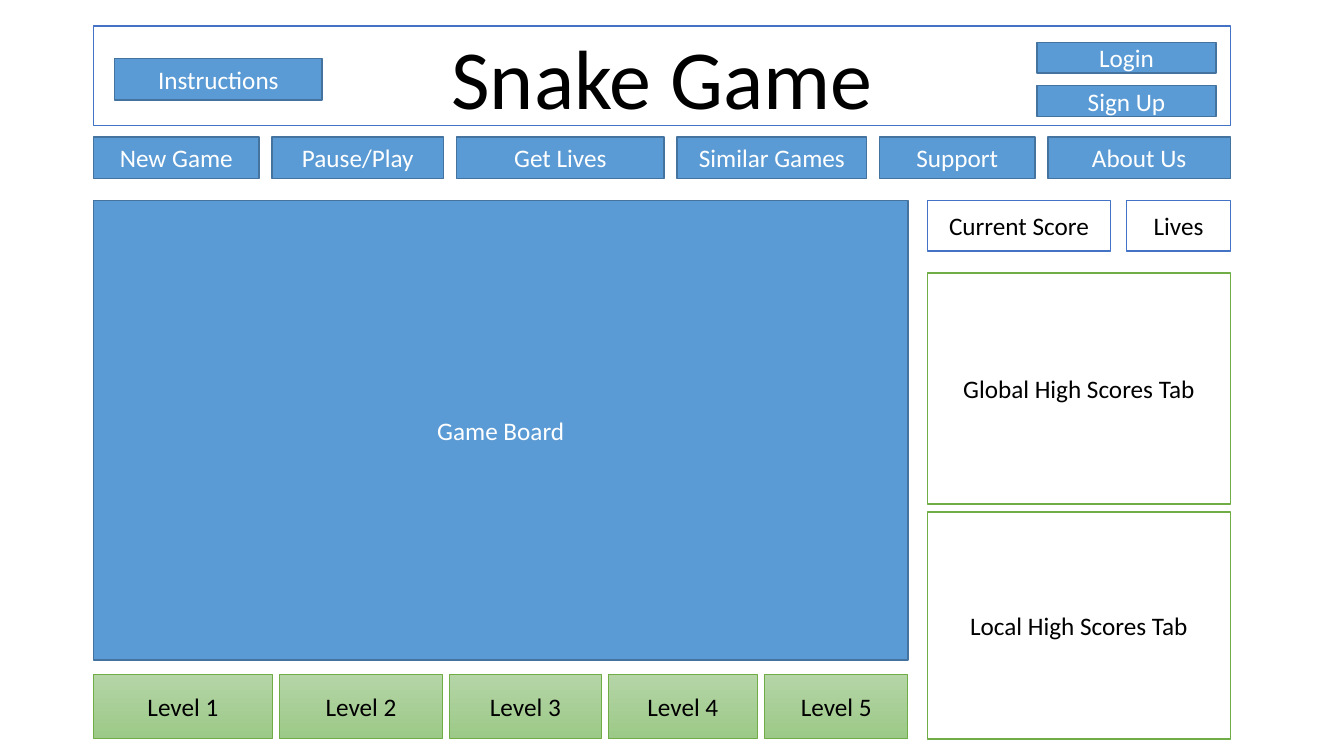
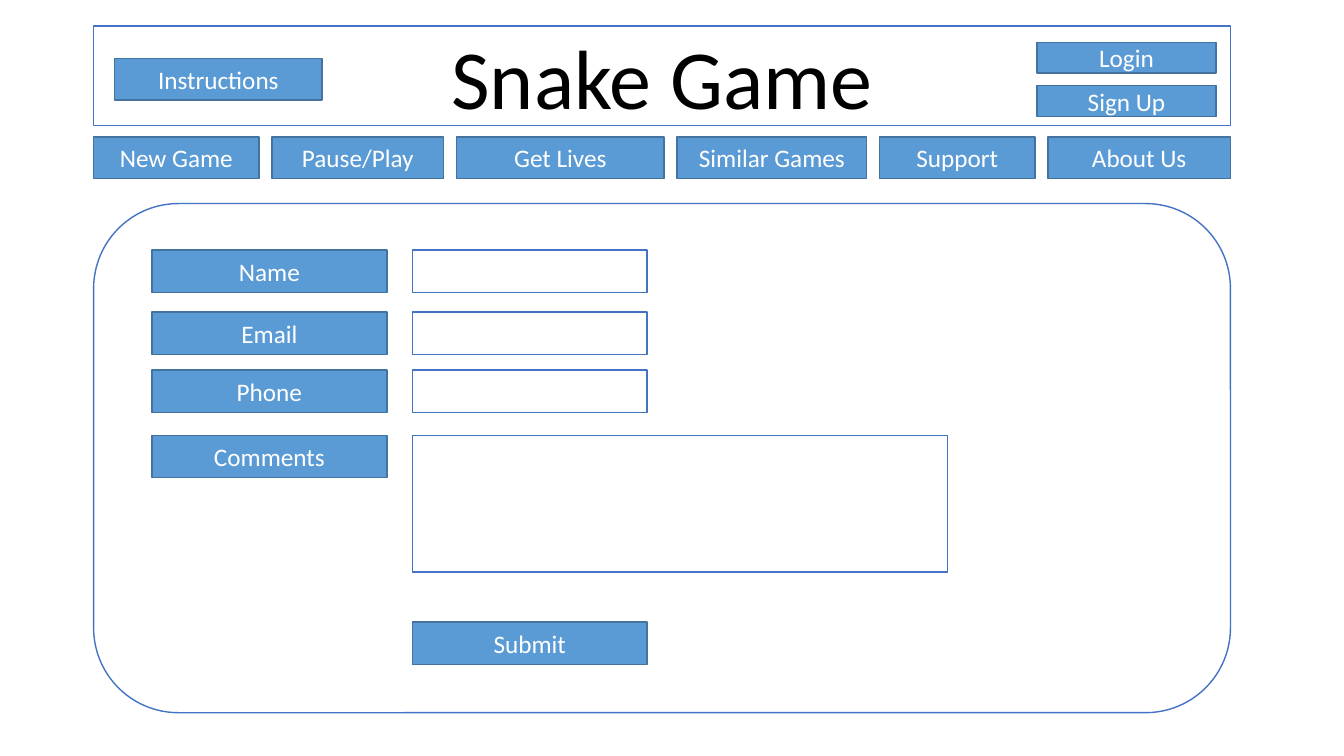
import pptx
import pptx.dml.color
import pptx.enum.shapes
import pptx.enum.text
import pptx.util
from collections import namedtuple
from pptx.util import Cm

Box = namedtuple("Box", "left top width height")
Style = namedtuple("Style", "fill line text weight")

FONT = "Calibri"
BUTTON = Style(["5B9BD5"], "43739E", "FFFFFF", 1)
PANEL = Style(["FFFFFF"], "4472C4", "000000", 1)
SCORES = Style(["FFFFFF"], "70AD47", "000000", 1)
LEVEL = Style(["B5D5A7", "9CC987"], "70AD47", "000000", 0.5)

BANNER = Box(2.36, 0.66, 28.65, 2.51)
MENU = Box(2.36, 3.45, 28.65, 1.05)
BOARD = Box(2.36, 5.05, 20.52, 11.58)
LEVELS = Box(2.36, 16.99, 20.52, 1.63)
SIDEBAR = Box(23.37, 5.05, 7.64, 13.57)
FORM = Box(2.36, 5.13, 28.65, 12.83)

MENU_WIDTHS = {"New Game": 4.17, "Pause/Play": 4.32, "Get Lives": 5.23,
               "Similar Games": 4.78, "Support": 3.91, "About Us": 4.6}
LEVEL_WIDTHS = {"Level 1": 4.5, "Level 2": 4.11, "Level 3": 3.81,
                "Level 4": 3.76, "Level 5": 3.61}
STATUS_WIDTHS = {"Current Score": 4.62, "Lives": 2.62}


def color(hex_code):
    """Return the RGB colour for a hex string."""
    return pptx.dml.color.RGBColor.from_string(hex_code)


def inside(region, left, top, width, height):
    """Return a box placed relative to the corner of a region."""
    return Box(region.left + left, region.top + top, width, height)


def dress(part, style, label="", size=18):
    """Give a shape its fill, outline and centred label."""
    if len(style.fill) > 1:
        part.fill.gradient()
        part.fill.gradient_angle = 270
        for stop, shade in zip(part.fill.gradient_stops, style.fill):
            stop.color.rgb = color(shade)
    else:
        part.fill.solid()
        part.fill.fore_color.rgb = color(style.fill[0])
    part.line.color.rgb = color(style.line)
    part.line.width = pptx.util.Pt(style.weight)
    if label:
        frame = part.text_frame
        frame.text = label
        frame.word_wrap = True
        frame.auto_size = pptx.enum.text.MSO_AUTO_SIZE.NONE
        frame.vertical_anchor = pptx.enum.text.MSO_ANCHOR.MIDDLE
        paragraph = frame.paragraphs[0]
        paragraph.alignment = pptx.enum.text.PP_ALIGN.CENTER
        font = paragraph.runs[0].font
        font.name = FONT
        font.size = pptx.util.Pt(size)
        font.color.rgb = color(style.text)


def add_block(slide, box, style, label="", rounded=False):
    """Draw one labelled block of the page."""
    kinds = pptx.enum.shapes.MSO_SHAPE
    kind = kinds.ROUNDED_RECTANGLE if rounded else kinds.RECTANGLE
    block = slide.shapes.add_shape(kind, *map(Cm, box))
    block.shadow.inherit = False
    dress(block, style, label)


def add_row(slide, region, widths, style):
    """Fill a region with blocks separated by equal gaps."""
    gap = (region.width - sum(widths.values())) / (len(widths) - 1)
    offset = 0
    for label, width in widths.items():
        add_block(slide, inside(region, offset, 0, width, region.height), style, label)
        offset += width + gap


def add_banner(slide, region):
    """Place the page title with its help and account buttons."""
    title = slide.shapes.title
    title.left, title.top, title.width, title.height = map(Cm, region)
    dress(title, PANEL, "Snake Game", 60)
    add_block(slide, inside(region, 0.53, 0.81, 5.23, 1.05), BUTTON, "Instructions")
    for label, top in (("Login", 0.41), ("Sign Up", 1.5)):
        add_block(slide, inside(region, 23.77, top, 4.52, 0.77), BUTTON, label)


def add_sidebar(slide, region):
    """Place the status boxes above the two high score lists."""
    add_row(slide, region._replace(height=1.28), STATUS_WIDTHS, PANEL)
    for label, top, height in (("Global High Scores Tab", 1.83, 5.82),
                               ("Local High Scores Tab", 7.85, 5.72)):
        add_block(slide, inside(region, 0, top, region.width, height), SCORES, label)


def add_form(slide, region):
    """Place the contact form with its labels, fields and submit button."""
    label_left, field_left, width, height = 1.47, 8.03, 5.92, 1.07
    add_block(slide, region, PANEL, rounded=True)
    for label, top, field_width, field_height in (("Name", 1.17, width, height),
                                                  ("Email", 2.73, width, height),
                                                  ("Phone", 4.19, width, height),
                                                  ("Comments", 5.84, 13.49, 3.45)):
        add_block(slide, inside(region, label_left, top, width, height), BUTTON, label)
        add_block(slide, inside(region, field_left, top, field_width, field_height), PANEL)
    add_block(slide, inside(region, field_left, 10.54, width, height), BUTTON, "Submit")


def add_page(deck):
    """Add a slide with the shared banner and menu."""
    slide = deck.slides.add_slide(deck.slide_layouts[5])
    add_banner(slide, BANNER)
    add_row(slide, MENU, MENU_WIDTHS, BUTTON)
    return slide


def add_game_page(deck):
    """Add the page with the board, levels and scores."""
    slide = add_page(deck)
    add_block(slide, BOARD, BUTTON, "Game Board")
    add_row(slide, LEVELS, LEVEL_WIDTHS, LEVEL)
    add_sidebar(slide, SIDEBAR)


def add_contact_page(deck):
    """Add the page with the contact form."""
    add_form(add_page(deck), FORM)


def main():
    """Build and save the presentation."""
    deck = pptx.Presentation()
    deck.slide_width, deck.slide_height = Cm(33.87), Cm(19.05)
    add_game_page(deck)
    add_contact_page(deck)
    deck.save("out.pptx")


if __name__ == "__main__":
    main()
